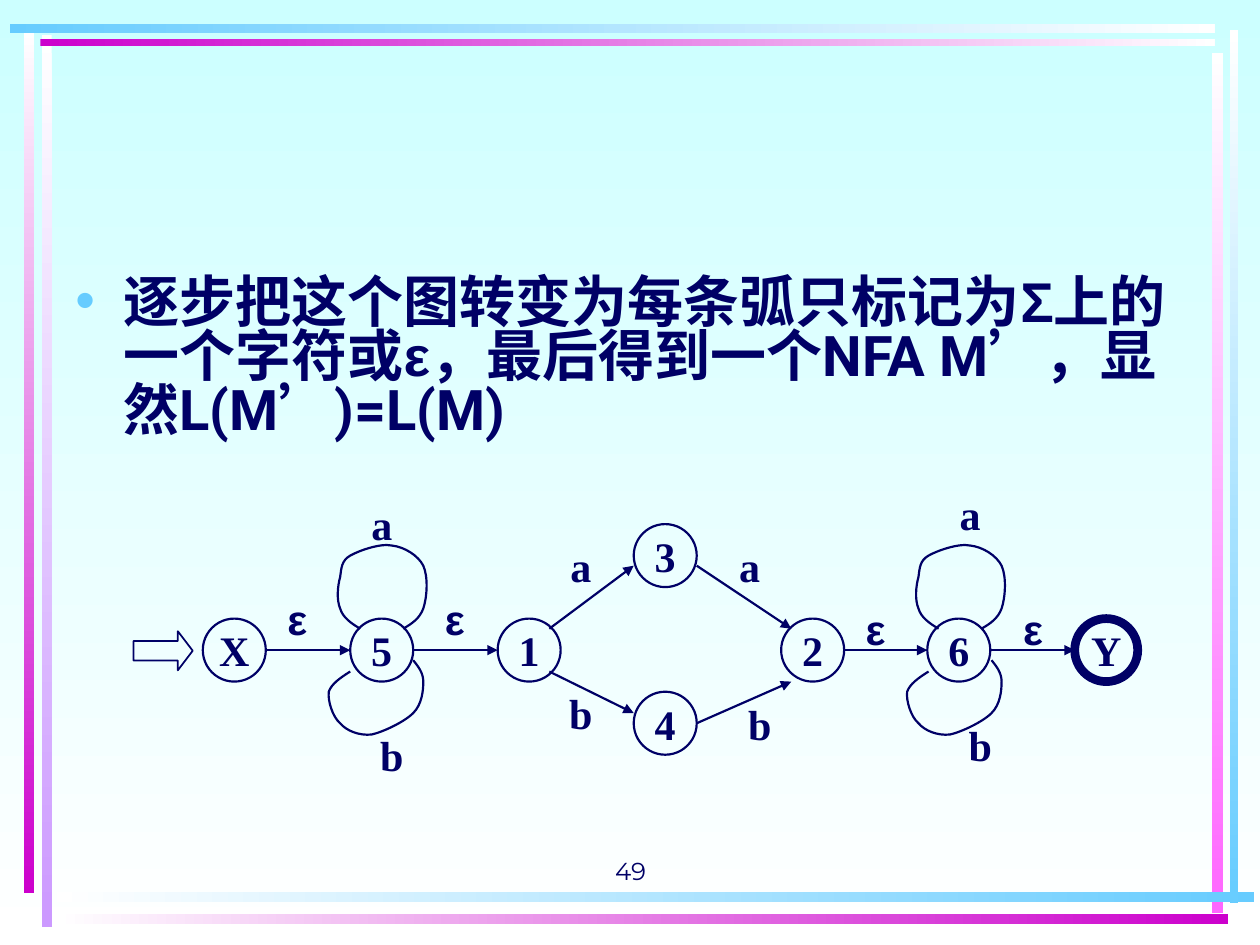
from typing import NamedTuple

from lxml import etree
from pptx import Presentation
from pptx.dml.color import RGBColor
from pptx.enum.dml import MSO_FILL
from pptx.enum.lang import MSO_LANGUAGE_ID
from pptx.enum.shapes import MSO_CONNECTOR, MSO_SHAPE
from pptx.enum.text import MSO_ANCHOR, PP_ALIGN
from pptx.oxml.ns import qn
from pptx.util import Inches, Pt

RECTANGLE, OVAL, RIGHT_ARROW = MSO_SHAPE.RECTANGLE, MSO_SHAPE.OVAL, MSO_SHAPE.RIGHT_ARROW
STRAIGHT = MSO_CONNECTOR.STRAIGHT
CENTER, MIDDLE, BOTTOM = PP_ALIGN.CENTER, MSO_ANCHOR.MIDDLE, MSO_ANCHOR.BOTTOM
CHINESE = MSO_LANGUAGE_ID.SIMPLIFIED_CHINESE

NAVY, SKY, WHITE, MAGENTA = "000066", "66CCFF", "FFFFFF", "CC00CC"
SERIF, SANS, GREEK, CJK = "Times New Roman", "Roboto", "Arial", "Noto Sans CJK SC"
DOWN, RIGHT = 270, 0
CELL = 0.5  # side of a state circle and of an arc label
ROW = 4.91  # top of the middle row of states
LOOP_SHIFT = 4.59  # distance from the loops of state 5 to those of state 6


class Bar(NamedTuple):
    left: float
    top: float
    width: float
    height: float
    start: str
    end: str
    angle: int


class State(NamedTuple):
    name: str
    left: float
    top: float = ROW
    line_width: float = 1.25


class Arc(NamedTuple):
    start: tuple[float, float]
    end: tuple[float, float]
    symbol: str
    label_left: float
    label_top: float


class Loop(NamedTuple):
    symbol: str
    label_left: float
    label_top: float
    shift: float
    points: list[tuple[float, float]]


BARS = [
    Bar(0.33, 0.28, 0.08, 7.08, WHITE, "CC99FF", DOWN),
    Bar(0.19, 0.25, 0.08, 6.84, WHITE, MAGENTA, DOWN),
    Bar(9.76, 0.24, 0.07, 6.93, WHITE, SKY, DOWN),
    Bar(9.62, 0.42, 0.09, 6.83, WHITE, "FF66FF", DOWN),
    Bar(0.45, 7.08, 9.5, 0.08, WHITE, SKY, RIGHT),
    Bar(0.45, 7.25, 9.3, 0.08, WHITE, MAGENTA, RIGHT),
    Bar(0.32, 0.31, 9.32, 0.06, MAGENTA, WHITE, RIGHT),
    Bar(0.08, 0.19, 9.56, 0.07, SKY, WHITE, RIGHT),
]
STATES = [
    State("X", 1.61), State("5", 2.78), State("1", 3.95),
    State("3", 5.03, 4.16), State("4", 5.03, 5.49),
    State("2", 6.2), State("6", 7.36), State("Y", 8.53, line_width=5),
]
ARCS = [
    Arc((2.11, 5.16), (2.78, 5.16), "ε", 2.11, 4.66),
    Arc((3.28, 5.16), (3.95, 5.16), "ε", 3.36, 4.66),
    Arc((4.36, 4.99), (5.03, 4.49), "a", 4.36, 4.24),
    Arc((4.36, 5.33), (5.03, 5.66), "b", 4.36, 5.41),
    Arc((5.53, 4.49), (6.28, 4.99), "a", 5.7, 4.24),
    Arc((5.53, 5.74), (6.28, 5.41), "b", 5.78, 5.49),
    Arc((6.7, 5.16), (7.36, 5.16), "ε", 6.7, 4.74),
    Arc((7.86, 5.16), (8.53, 5.16), "ε", 7.95, 4.74),
]
# Cubic curves: a start point, then two control points and an end point each
UPPER_LOOP = [
    (3.2, 4.99), (3.27, 4.95), (3.33, 4.91), (3.36, 4.83),
    (3.39, 4.74), (3.4, 4.58), (3.36, 4.49), (3.32, 4.41), (3.21, 4.34), (3.11, 4.33),
    (3.02, 4.31), (2.85, 4.37), (2.78, 4.41), (2.71, 4.45), (2.71, 4.51), (2.7, 4.58),
    (2.68, 4.65), (2.67, 4.76), (2.7, 4.83), (2.72, 4.9), (2.79, 4.95), (2.86, 4.99),
]
LOWER_LOOP = [
    (3.28, 5.24), (3.32, 5.29), (3.36, 5.34), (3.36, 5.41),
    (3.36, 5.48), (3.35, 5.59), (3.28, 5.66), (3.21, 5.73), (3.04, 5.81), (2.95, 5.83),
    (2.85, 5.84), (2.75, 5.8), (2.7, 5.74), (2.64, 5.69), (2.6, 5.56), (2.61, 5.49),
    (2.63, 5.43), (2.7, 5.38), (2.78, 5.33),
]
LOOPS = [
    Loop("a", 2.78, 3.91, 0, UPPER_LOOP),
    Loop("b", 2.86, 5.74, 0, LOWER_LOOP),
    Loop("a", 7.45, 3.83, LOOP_SHIFT, UPPER_LOOP),
    Loop("b", 7.53, 5.66, LOOP_SHIFT, LOWER_LOOP),
]
STATEMENT = [
    ("逐步把这个图转变为每条弧只标记为", SANS), ("Σ", GREEK), ("上的一个字符或", SANS),
    ("ε", GREEK), ("，最后得到一个NFA M", SANS), ("’", CJK), ("，显然L(M", SANS),
    ("’", CJK), (")=L(M)", SANS),
]


def color(value: str) -> RGBColor:
    return RGBColor.from_string(value)


def set_gradient(fill, start: str, end: str, angle: int) -> None:
    fill.gradient()
    fill.gradient_angle = angle
    for stop, value in zip(fill.gradient_stops, (start, end)):
        stop.color.rgb = color(value)


def set_outline(shape, width: float) -> None:
    shape.shadow.inherit = False
    shape.fill.background()
    shape.line.color.rgb = color(NAVY)
    shape.line.width = Pt(width)


def set_font(font, name: str, size: float, bold: bool = True) -> None:
    font.name, font.size, font.bold = name, Pt(size), bold
    font.color.rgb = color(NAVY)


def set_symbol(shape, symbol: str) -> None:
    text_frame = shape.text_frame
    text_frame.text = symbol
    text_frame.word_wrap = False
    text_frame.vertical_anchor = MIDDLE
    paragraph = text_frame.paragraphs[0]
    paragraph.alignment = CENTER
    set_font(paragraph.runs[0].font, GREEK if symbol == "ε" else SERIF, 24)


def add_bar(slide, bar: Bar) -> None:
    shape = slide.shapes.add_shape(RECTANGLE, *map(Inches, bar[:4]))
    shape.shadow.inherit = False
    shape.line.fill.background()
    set_gradient(shape.fill, bar.start, bar.end, bar.angle)


def add_state(slide, state: State) -> None:
    shape = slide.shapes.add_shape(OVAL, *map(Inches, (state.left, state.top, CELL, CELL)))
    set_outline(shape, state.line_width)
    set_symbol(shape, state.name)


def add_label(slide, symbol: str, left: float, top: float) -> None:
    set_symbol(slide.shapes.add_textbox(*map(Inches, (left, top, CELL, CELL))), symbol)


def add_arc(slide, arc: Arc) -> None:
    connector = slide.shapes.add_connector(STRAIGHT, *map(Inches, arc.start + arc.end))
    connector.line.color.rgb = color(NAVY)
    connector.line.width = Pt(1.25)
    etree.SubElement(connector.line._get_or_add_ln(), qn("a:tailEnd"), type="triangle")
    etree.SubElement(connector._element.spPr, qn("a:effectLst"))
    add_label(slide, arc.symbol, arc.label_left, arc.label_top)


def add_loop(slide, loop: Loop) -> None:
    start, *others = [(Inches(x + loop.shift), Inches(y)) for x, y in loop.points]
    builder = slide.shapes.build_freeform(*start)
    builder.add_line_segments(others, close=False)
    shape = builder.convert_to_shape()
    set_outline(shape, 1.25)
    # Join each three line segments into one cubic curve
    outline = shape._element.find(".//" + qn("a:path"))
    segments = outline.findall(qn("a:lnTo"))
    for index in range(0, len(segments), 3):
        curve = etree.SubElement(outline, qn("a:cubicBezTo"))
        for segment in segments[index:index + 3]:
            curve.append(segment[0])
            outline.remove(segment)
    add_label(slide, loop.symbol, loop.label_left, loop.label_top)


def add_statement(slide) -> None:
    text_frame = slide.shapes.add_textbox(*map(Inches, (0.5, 2.17, 9, 1.49))).text_frame
    text_frame.word_wrap = True
    paragraph = text_frame.paragraphs[0]
    properties = paragraph._p.get_or_add_pPr()
    properties.set("marL", str(Inches(0.38)))
    properties.set("indent", str(Inches(-0.38)))
    bullet_color = etree.SubElement(properties, qn("a:buClr"))
    etree.SubElement(bullet_color, qn("a:srgbClr"), val=SKY)
    etree.SubElement(properties, qn("a:buFont"), typeface="Arial")
    etree.SubElement(properties, qn("a:buChar"), char="•")
    paragraph.line_spacing = 0.8
    for text, font_name in STATEMENT:
        run = paragraph.add_run()
        run.text = text
        set_font(run.font, font_name, 32)
        run.font.language_id = CHINESE
        etree.SubElement(run._r.get_or_add_rPr(), qn("a:ea"), typeface=font_name)


def add_page_number(slide) -> None:
    text_frame = slide.shapes.add_textbox(*map(Inches, (3.42, 6.58, 3.17, 0.5))).text_frame
    text_frame.text = "49"
    text_frame.word_wrap = True
    text_frame.vertical_anchor = BOTTOM
    text_frame.paragraphs[0].alignment = CENTER
    set_font(text_frame.paragraphs[0].runs[0].font, "Montserrat", 14, bold=False)


def main() -> None:
    presentation = Presentation()
    presentation.slide_width, presentation.slide_height = Inches(10), Inches(7.5)
    slide = presentation.slides.add_slide(presentation.slide_layouts[6])

    # Background and frame
    set_gradient(slide.background.fill, "CCFFFF", WHITE, DOWN)
    for bar in BARS:
        add_bar(slide, bar)

    # Text
    add_page_number(slide)
    add_statement(slide)

    # Automaton
    for state in STATES:
        add_state(slide, state)
    for loop in LOOPS:
        add_loop(slide, loop)
    for arc in ARCS:
        add_arc(slide, arc)
    entry = slide.shapes.add_shape(RIGHT_ARROW, *map(Inches, (1.06, 5.01, 0.47, 0.31)))
    entry.adjustments[0], entry.adjustments[1] = 0.5, 0.38
    set_outline(entry, 1)

    presentation.save("out.pptx")


if __name__ == "__main__":
    main()
